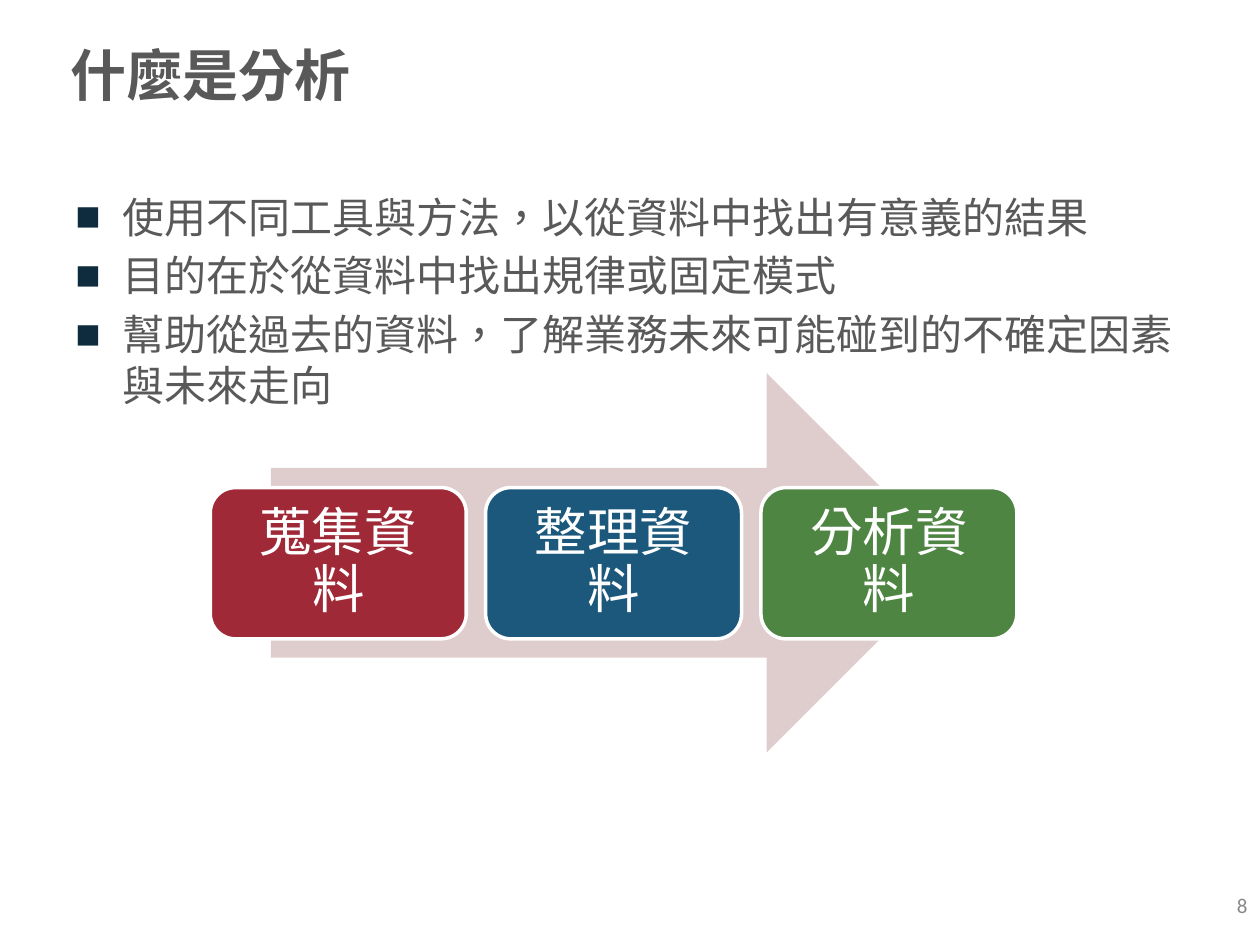
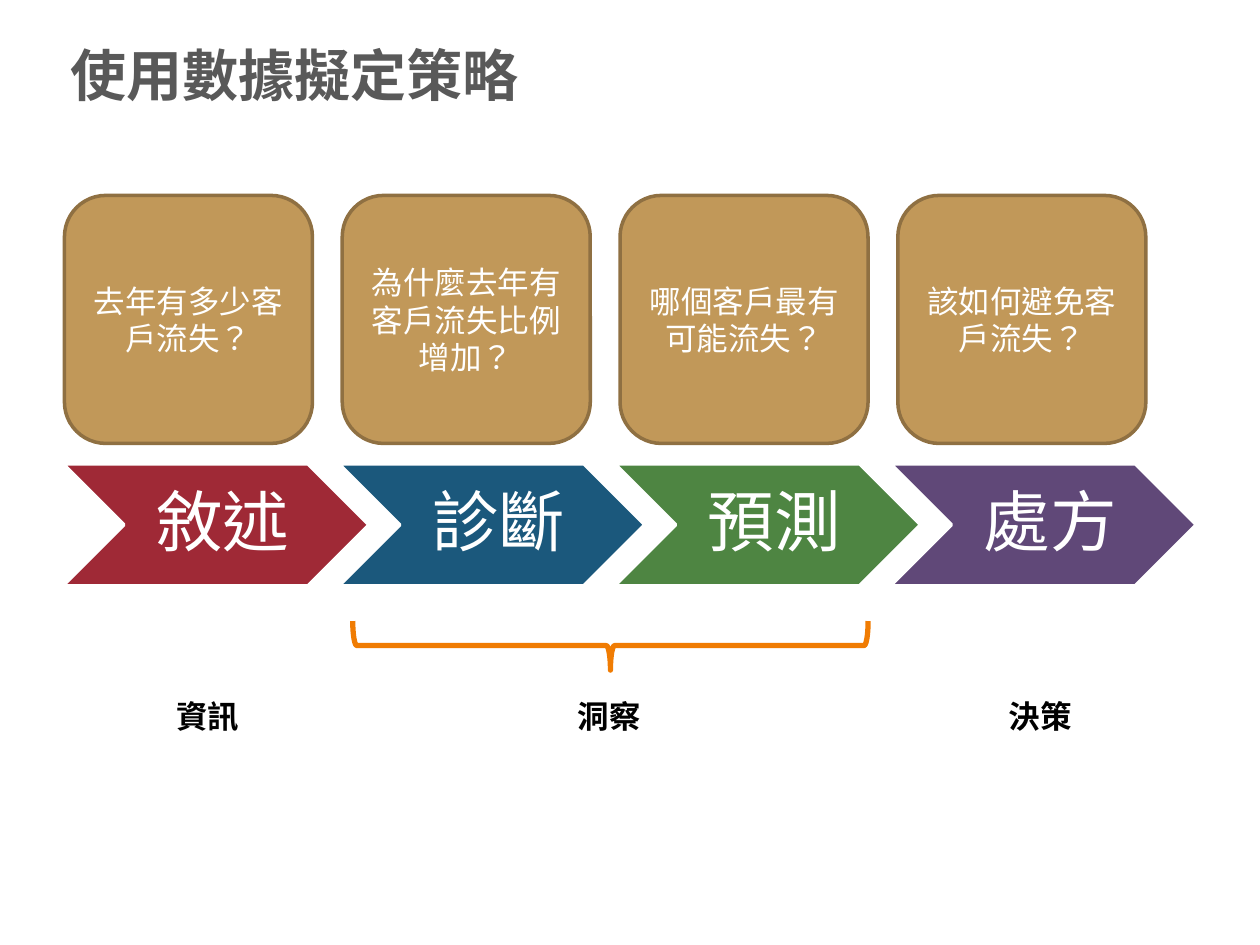
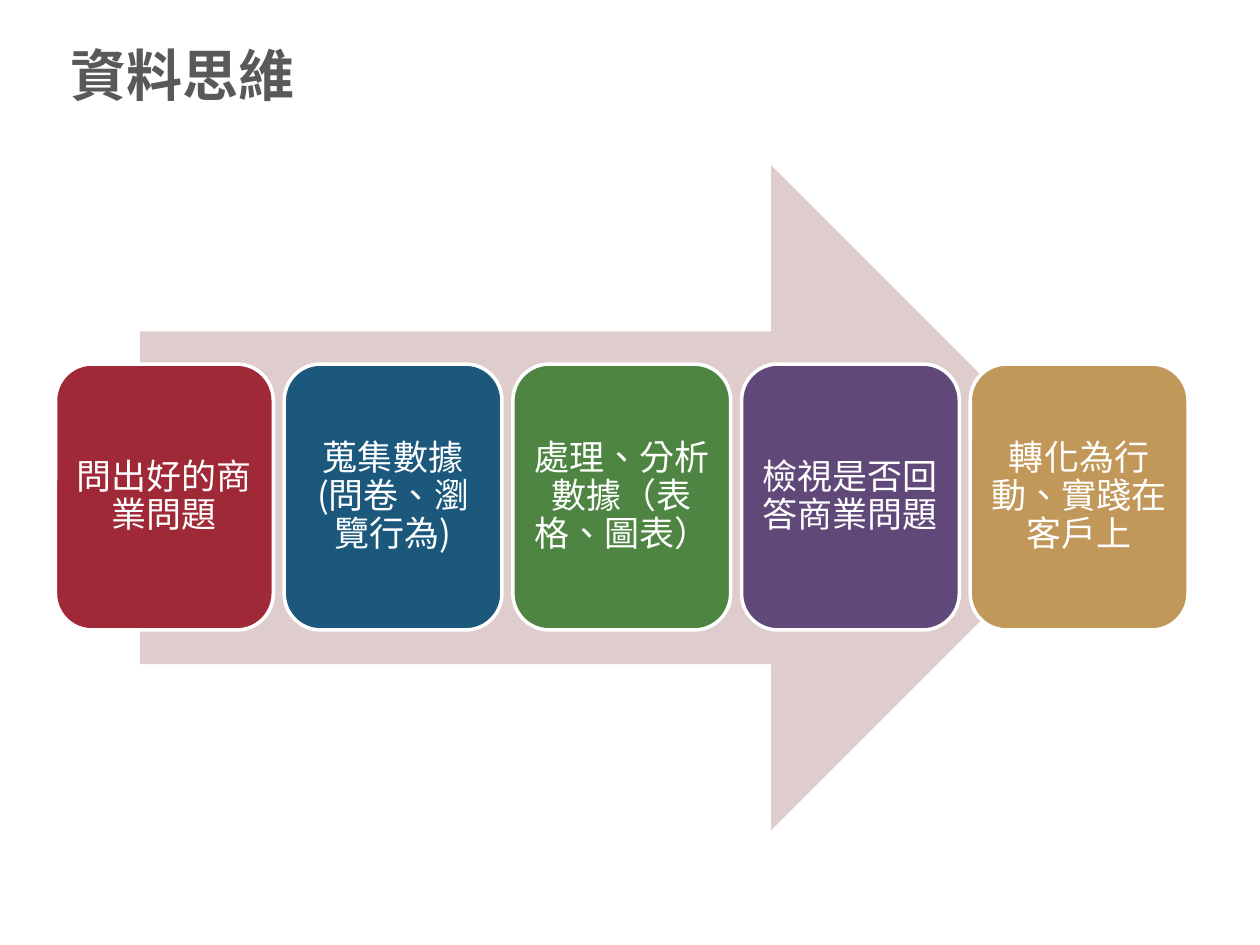
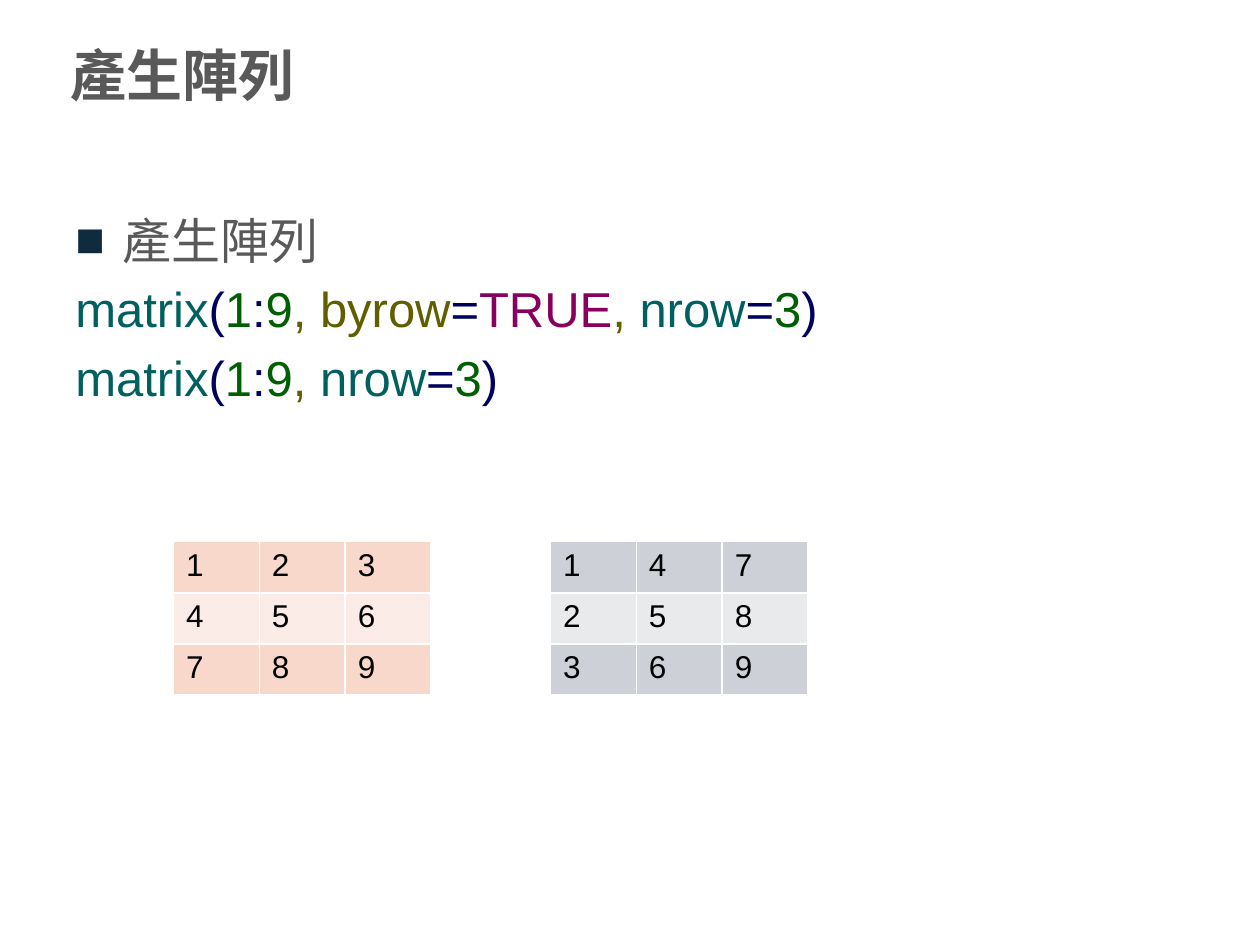
from lxml import etree
from pptx import Presentation
from pptx.dml.color import RGBColor
from pptx.enum import lang, shapes, text
from pptx.oxml import ns
from pptx.util import Cm, Pt

SANS, CJK = "Arial", "Noto Sans CJK SC"
WHITE, BLACK, GRAY, NAVY = "FFFFFF", "000000", "595959", "0E2C3E"
RED, BLUE, GREEN, PURPLE, TAN = "9F2936", "1B587C", "4E8542", "604878", "C19859"
STEP_COLORS = [RED, BLUE, GREEN, PURPLE, TAN]
TAN_DARK, PALE_RED, ORANGE = "8F7042", "DFCDCE", "F07C03"
NAME, MARK, NUMBER, ARG, CONST = "005F5F", "00005F", "005F00", "5F5F00", "87005F"
CENTER = text.PP_ALIGN.CENTER
MIDDLE = text.MSO_ANCHOR.MIDDLE
PRESET = shapes.MSO_SHAPE

CODE_HEAD = [("matrix", NAME), ("(", MARK), ("1", NUMBER), (":", MARK), ("9", NUMBER)]
CODE_TAIL = [(", ", ARG), ("nrow", NAME), ("=", MARK), ("3", NUMBER), (")", MARK)]
CODE_BYROW = [(", byrow", ARG), ("=", MARK), ("TRUE", CONST)]


def rgb(value):
    return RGBColor.from_string(value)


def box(*lengths):
    return [Cm(length) for length in lengths]


def add_xml(parent, tag, **attrs):
    return etree.SubElement(parent, ns.qn(tag), attrs)


def style(p, size, name, color, bold=False, align=None):
    p.alignment = align
    font = p.font
    font.size, font.name, font.bold = Pt(size), name, bold
    font.language_id = lang.MSO_LANGUAGE_ID.TRADITIONAL_CHINESE
    font.color.rgb = rgb(color)
    add_xml(p._p.pPr.find(ns.qn("a:defRPr")), "a:ea", typeface=name)


def add_slide(prs, title):
    s = prs.slides.add_slide(prs.slide_layouts[5])
    sp = s.shapes.title
    sp.left, sp.top, sp.width, sp.height = box(1.17, 0.71, 22.86, 1.55)
    tf = sp.text_frame
    tf.text = title
    tf.vertical_anchor = MIDDLE
    tf.auto_size = text.MSO_AUTO_SIZE.NONE
    style(tf.paragraphs[0], 32, SANS, GRAY, True, text.PP_ALIGN.LEFT)
    return s


def add_body(s, top):
    tf = s.shapes.add_textbox(*box(1.27, top, 22.86, 12.9)).text_frame
    tf.word_wrap = True
    return tf


def next_paragraph(tf, size):
    first = tf.paragraphs[0]
    if not first.runs:
        return first
    p = tf.add_paragraph()
    p.space_before = Pt(size * 0.2)
    return p


def add_bullet(tf, line, size):
    p = next_paragraph(tf, size)
    p.add_run().text = line
    pPr = p._p.get_or_add_pPr()
    pPr.set("marL", str(Cm(0.95)))
    pPr.set("indent", str(-Cm(0.95)))
    add_xml(add_xml(pPr, "a:buClr"), "a:srgbClr", val=NAVY)
    add_xml(pPr, "a:buFont", typeface=SANS)
    add_xml(pPr, "a:buChar", char="■")
    style(p, size, SANS, GRAY)


def add_code(tf, tokens, size):
    p = next_paragraph(tf, size)
    style(p, size, SANS, GRAY)
    for token, color in tokens:
        r = p.add_run()
        r.text = token
        r.font.color.rgb = rgb(color)


def add_label(s, left, label):
    tf = s.shapes.add_textbox(*box(left, 13.92, 1.8, 1.02)).text_frame
    tf.word_wrap = False
    tf.auto_size = text.MSO_AUTO_SIZE.SHAPE_TO_FIT_TEXT
    tf.text = label
    style(tf.paragraphs[0], 18, CJK, BLACK, True)


def add_number(s, number):
    tf = s.shapes.add_textbox(*box(19.48, 17.73, 5.92, 1.02)).text_frame
    tf.word_wrap = True
    tf.vertical_anchor = MIDDLE
    tf.text = number
    style(tf.paragraphs[0], 12, "Calibri", "898989", align=text.PP_ALIGN.RIGHT)


def add_shape(s, kind, place, fill=None, line=None, width=2):
    sp = s.shapes.add_shape(kind, *box(*place))
    sp.shadow.inherit = False
    if fill:
        sp.fill.solid()
        sp.fill.fore_color.rgb = rgb(fill)
    else:
        sp.fill.background()
    if line:
        sp.line.color.rgb = rgb(line)
        sp.line.width = Pt(width)
    else:
        sp.line.fill.background()
    return sp


def add_row(s, kind, labels, place, step, size, insets, fills=STEP_COLORS,
            line=WHITE, spacing=0.9):
    left, top, width, height = place
    for i, (label, fill) in enumerate(zip(labels, fills)):
        sp = add_shape(s, kind, (left + i * step, top, width, height), fill, line)
        tf = sp.text_frame
        tf.margin_left, tf.margin_top, tf.margin_right, tf.margin_bottom = box(*insets)
        tf.word_wrap = True
        tf.vertical_anchor = MIDDLE
        tf.text = label
        p = tf.paragraphs[0]
        p.line_spacing = spacing
        p._p.get_or_add_pPr().set("hangingPunct", "0")
        style(p, size, CJK, WHITE, align=CENTER)


def add_matrix(s, left, rows, odd, even):
    n = len(rows)
    table = s.shapes.add_table(n, n, *box(left, 10.92, 1.73 * n, 1.03 * n)).table
    table.first_row = table.horz_banding = False
    for i, row in enumerate(rows):
        for j, value in enumerate(row):
            cell = table.cell(i, j)
            tcPr = cell._tc.get_or_add_tcPr()
            for side in "LRTB":
                ln = add_xml(tcPr, f"a:ln{side}", w=str(Pt(1)))
                add_xml(add_xml(ln, "a:solidFill"), "a:srgbClr", val=WHITE)
            cell.fill.solid()
            cell.fill.fore_color.rgb = rgb(even if i % 2 else odd)
            cell.text = str(value)
            style(cell.text_frame.paragraphs[0], 18, SANS, BLACK)


def analysis_slide(prs):
    s = add_slide(prs, "什麼是分析")
    tf = add_body(s, 3.73)
    for line in ("使用不同工具與方法，以從資料中找出有意義的結果",
                 "目的在於從資料中找出規律或固定模式",
                 "幫助從過去的資料，了解業務未來可能碰到的不確定因素與未來走向"):
        add_bullet(tf, line, 24)
    add_number(s, "8")
    add_shape(s, PRESET.RIGHT_ARROW, (5.46, 7.52, 13.82, 7.65), PALE_RED)
    add_row(s, PRESET.ROUNDED_RECTANGLE, ["蒐集資料", "整理資料", "分析資料"],
            (4.24, 9.83, 5.16, 3.05), 5.55, 30, (0.35, 0.3, 0.35, 0.3))


def strategy_slide(prs):
    s = add_slide(prs, "使用數據擬定策略")
    add_row(s, PRESET.CHEVRON, ["敘述", "診斷", "預測", "處方"],
            (1.27, 9.35, 6.17, 2.46), 5.56, 38, (0.43, 0.15, 0.15, 0.15))
    brace = add_shape(s, PRESET.RIGHT_BRACE, (11.81, 7.82, 0.99, 10.39),
                      line=ORANGE, width=3)
    brace.rotation = 90
    for left, label in ((3.3, "資訊"), (11.4, "洞察"), (20.09, "決策")):
        add_label(s, left, label)
    questions = ["去年有多少客戶流失？", "為什麼去年有客戶流失比例增加？",
                 "哪個客戶最有可能流失？", "該如何避免客戶流失？"]
    add_row(s, PRESET.ROUNDED_RECTANGLE, questions, (1.3, 3.94, 5, 5), 5.6, 18,
            (0.25, 0.13, 0.25, 0.13), [TAN] * 4, TAN_DARK, 1.0)


def thinking_slide(prs):
    s = add_slide(prs, "資料思維")
    add_shape(s, PRESET.RIGHT_ARROW, (2.82, 3.33, 19.43, 13.41), PALE_RED)
    steps = ["問出好的商業問題", "蒐集數據 (問卷、瀏覽行為)",
             "處理、分析數據（表格、圖表）", "檢視是否回答商業問題",
             "轉化為行動、實踐在客戶上"]
    add_row(s, PRESET.ROUNDED_RECTANGLE, steps, (1.12, 7.34, 4.39, 5.36), 4.61, 20,
            [0.2] * 4)


def matrix_slide(prs):
    s = add_slide(prs, "產生陣列")
    tf = add_body(s, 4.11)
    add_bullet(tf, "產生陣列", 28)
    add_code(tf, CODE_HEAD + CODE_BYROW + CODE_TAIL, 28)
    add_code(tf, CODE_HEAD + CODE_TAIL, 28)
    by_row = [[1, 2, 3], [4, 5, 6], [7, 8, 9]]
    add_matrix(s, 3.5, by_row, "F9D8CC", "FCECE7")
    add_matrix(s, 11.1, list(zip(*by_row)), "CDD1D7", "E8EAEC")


def main():
    prs = Presentation()
    prs.slide_width, prs.slide_height = box(25.4, 19.05)
    analysis_slide(prs)
    strategy_slide(prs)
    thinking_slide(prs)
    matrix_slide(prs)
    prs.save("out.pptx")


if __name__ == "__main__":
    main()
